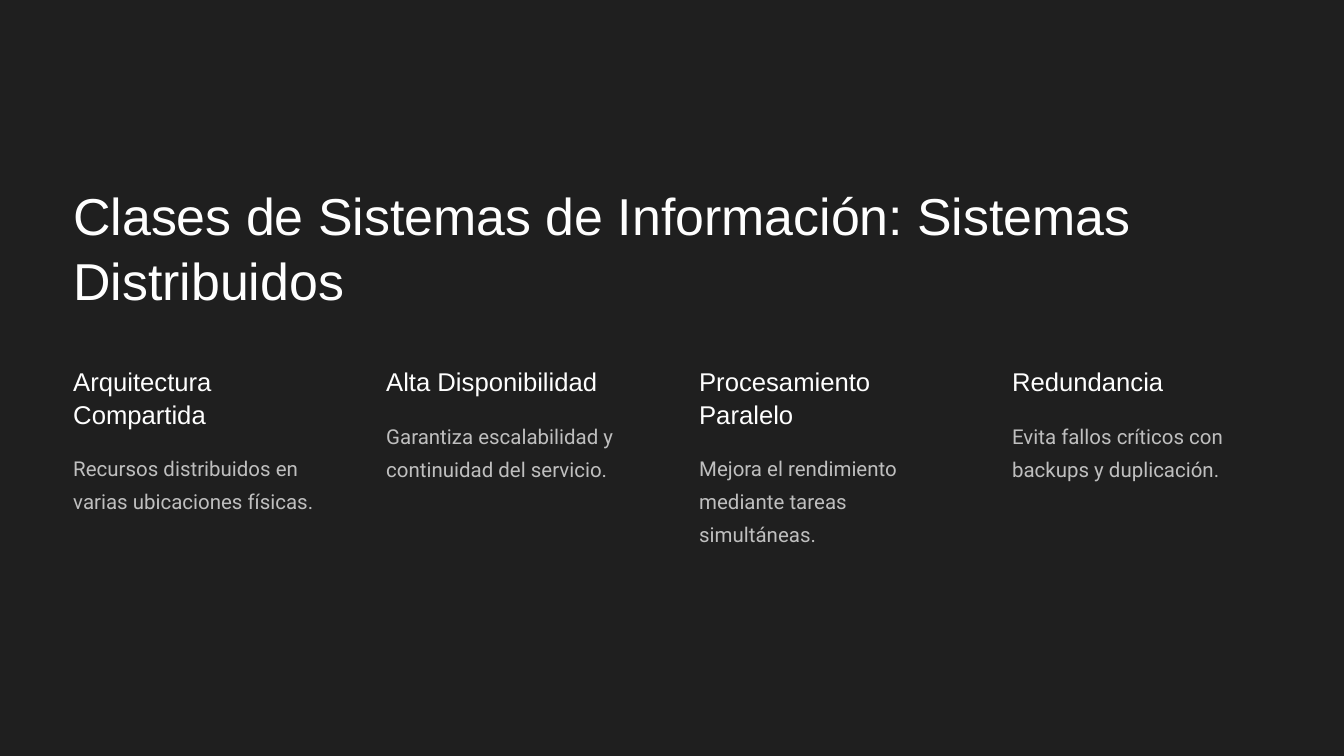
from pptx import Presentation
from pptx.dml.color import RGBColor as RGB
from pptx.enum.shapes import MSO_SHAPE as SHAPE
from pptx.util import Pt

WIDTH, HEIGHT = 1440, 810
COLORS = {"panel": "1F1F1F", "title": "FEFEFE", "body": "BFBFBF"}
FORMATS = {
    "title": {"name": "Arial", "size": Pt(55.6)},
    "heading": {"name": "Arial", "size": Pt(27.5)},
    "body": {"name": "Roboto", "size": Pt(21.9)},
}
LEADING = {"title": 69.4, "heading": 34.4, "body": 35.6}
LEFT, PITCH, COLUMN_WIDTH = 78.5, 335.3, 280
TITLE_TOP, HEADING_TOP, HEADING_GAP = 194.4, 391, 19.6
COLUMNS = [
    ("Arquitectura Compartida", 2, "Recursos distribuidos en varias ubicaciones físicas.", 2),
    ("Alta Disponibilidad", 1, "Garantiza escalabilidad y continuidad del servicio.", 2),
    ("Procesamiento Paralelo", 2, "Mejora el rendimiento mediante tareas simultáneas.", 3),
    ("Redundancia", 1, "Evita fallos críticos con backups y duplicación.", 2),
]


class Deck:
    """Holds the text styles and the slide being built."""

    def __init__(self, prs):
        self.s = prs.slides.add_slide(prs.slide_layouts[6])

    def panel(self, x, y, w, h, color):
        sp = self.s.shapes.add_shape(SHAPE.RECTANGLE, Pt(x), Pt(y), Pt(w), Pt(h))
        sp.shadow.inherit = False
        sp.fill.solid()
        sp.fill.fore_color.rgb = RGB.from_string(COLORS[color])
        sp.line.fill.background()

    def text(self, x, y, w, lines, text, style, color):
        h = lines * LEADING[style]
        tf = self.s.shapes.add_textbox(Pt(x), Pt(y), Pt(w), Pt(h)).text_frame
        tf.word_wrap = True
        for side in ("left", "top", "right", "bottom"):
            setattr(tf, f"margin_{side}", 0)
        p = tf.paragraphs[0]
        p.line_spacing = Pt(LEADING[style])
        r = p.add_run()
        r.text = text
        for key, value in FORMATS[style].items():
            setattr(r.font, key, value)
        r.font.color.rgb = RGB.from_string(COLORS[color])


def main():
    prs = Presentation()
    prs.slide_width, prs.slide_height = Pt(WIDTH), Pt(HEIGHT)
    deck = Deck(prs)
    deck.panel(0, 0, WIDTH, HEIGHT, "panel")
    deck.text(LEFT, TITLE_TOP, 1283.8, 2,
              "Clases de Sistemas de Información: Sistemas Distribuidos", "title", "title")
    for i, (heading, heading_lines, body, body_lines) in enumerate(COLUMNS):
        x = LEFT + i * PITCH
        body_top = HEADING_TOP + heading_lines * LEADING["heading"] + HEADING_GAP
        deck.text(x, HEADING_TOP, COLUMN_WIDTH, heading_lines, heading, "heading", "title")
        deck.text(x, body_top, COLUMN_WIDTH, body_lines, body, "body", "body")
    prs.save("out.pptx")


if __name__ == "__main__":
    main()
